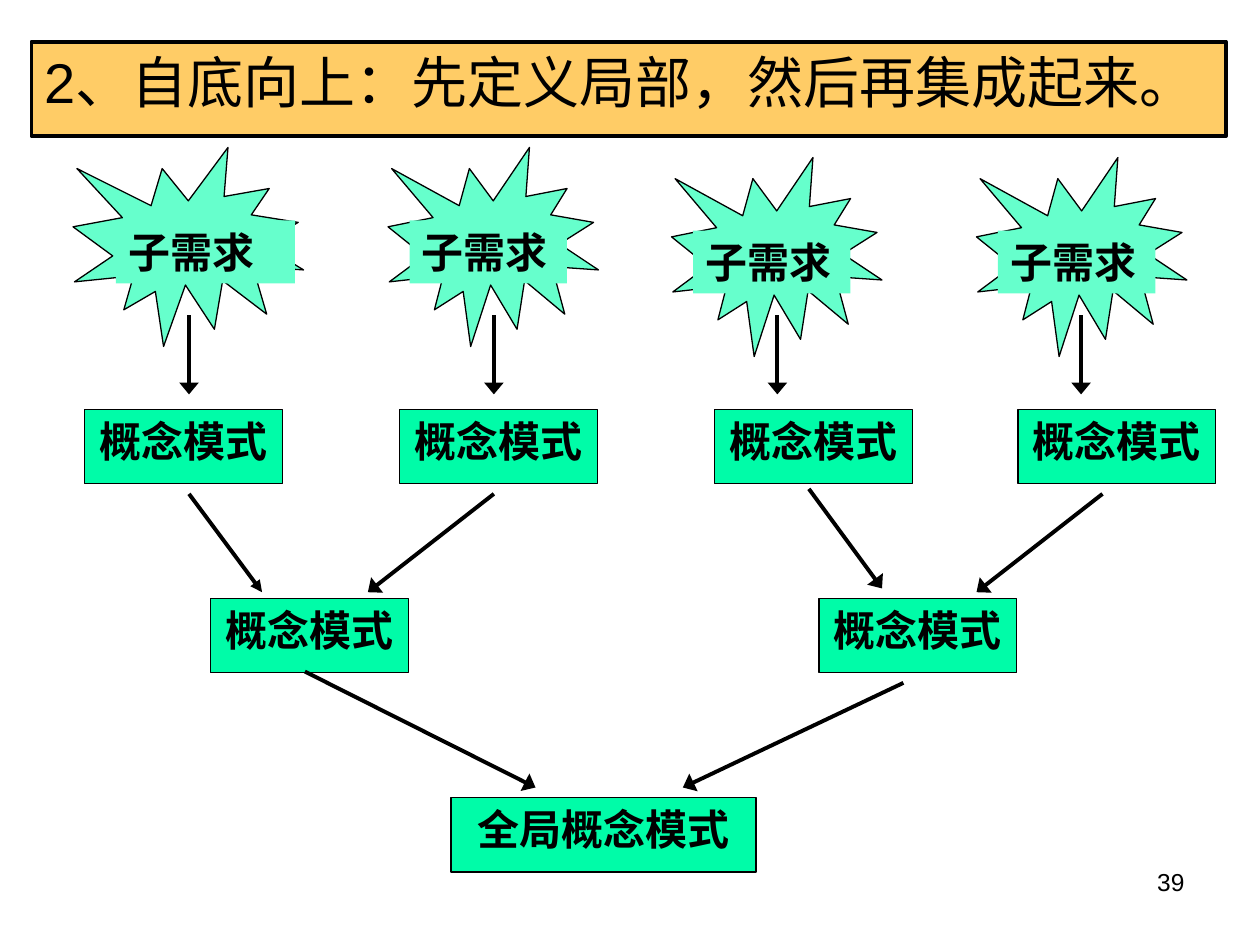
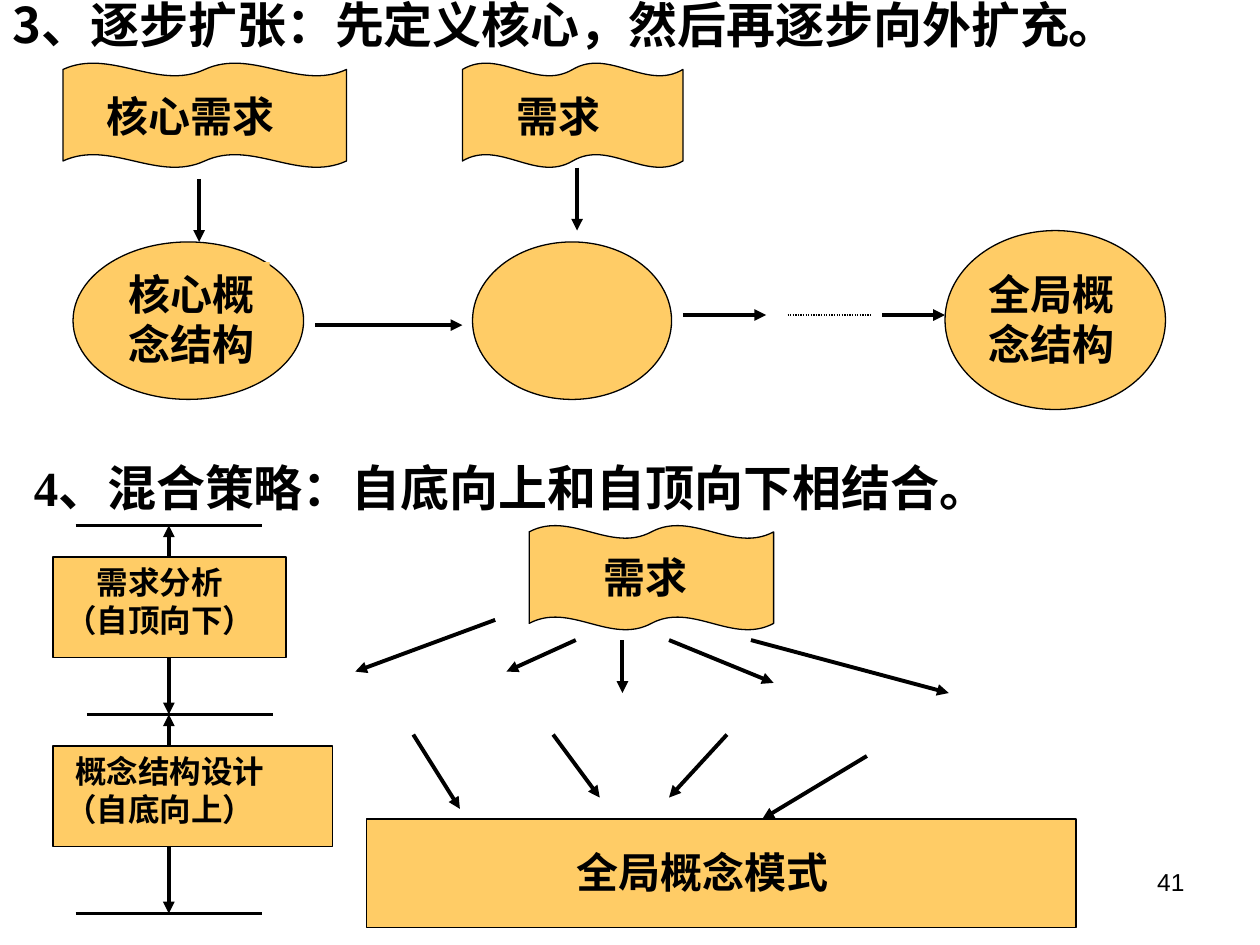
from pptx import Presentation
from pptx.dml.color import RGBColor
from pptx.enum.dml import MSO_LINE
from pptx.enum.shapes import MSO_CONNECTOR, MSO_SHAPE as Shape
from pptx.enum.text import MSO_ANCHOR as Anchor, MSO_AUTO_SIZE as AutoSize, PP_ALIGN as Align
from pptx.oxml.ns import qn
from pptx.util import Inches, Pt
from lxml import etree

BLACK, ORANGE, AQUA, GREEN = "000000", "FFCC66", "66FFCC", "00FCA8"
SERIF, SANS, CJK = "Times New Roman", "Arial", "Noto Sans CJK JP"
THIN, RULE, THICK = 0.74, 1.5, 2.24

NEED, MODEL, GLOBAL_MODEL = "子需求", "概念模式", "全局概念模式"

BOTTOM_UP_TITLE = "2、自底向上：先定义局部，然后再集成起来。"
NEEDS = [
    ((0.58, 1.17), 1.83, (0.92, 1.75), 1.42),
    ((3.08, 1.17), 1.67, (3.25, 1.75), 1.25),
    ((5.33, 1.25), 1.67, (5.5, 1.83), 1.25),
    ((7.75, 1.25), 1.67, (7.92, 1.83), 1.25),
]
MODELS = [(0.67, 3.25), (3.17, 3.25), (5.67, 3.25), (8.08, 3.25), (1.67, 4.75), (6.5, 4.75)]
NEED_ARROWS = [1.5, 3.92, 6.17, 8.58]
MERGE_ARROWS = [
    ((1.5, 3.92), (2.08, 4.7), "med"),
    ((3.92, 3.92), (2.92, 4.7), "lg"),
    ((6.42, 3.88), (7, 4.67), "lg"),
    ((8.75, 3.92), (7.75, 4.7), "lg"),
    ((2.42, 5.33), (4.25, 6.25), "lg"),
    ((7.17, 5.42), (5.42, 6.25), "lg"),
]

EXPANSION_TITLE = "3、逐步扩张：先定义核心，然后再逐步向外扩充。"
MIXED_TITLE = "4、混合策略：自底向上和自顶向下相结合。"
WAVES = [
    ((0.5, 0.5, 2.25, 0.83), "核心需求", (0.75, 0.67, 1.75, 0.5), Align.LEFT),
    ((3.67, 0.5, 1.75, 0.83), "需求", (4, 0.67, 1.17, 0.5), Align.LEFT),
    ((4.2, 4.17, 1.94, 0.83), "需求", (4.48, 4.33, 1.29, 0.5), Align.CENTER),
]
STRUCTURES = [
    ((0.58, 1.92, 1.83, 1.25), "核心概念结构", (0.92, 2.08, 1.22, 0.9)),
    ((3.75, 1.92, 1.58, 1.25), "", None),
    ((7.5, 1.83, 1.75, 1.42), "全局概念结构", (7.75, 2.08, 1.25, 0.9)),
]
EXPANSION_ARROWS = [
    ((1.58, 1.42), (1.58, 1.92)),
    ((2.5, 2.58), (3.67, 2.58)),
    ((4.58, 1.33), (4.58, 1.83)),
    ((5.42, 2.5), (6.08, 2.5)),
    ((7, 2.5), (7.5, 2.5)),
]
SPLIT_ARROWS = [
    ((3.93, 4.92), (2.82, 5.33)),
    ((4.57, 5.08), (4.02, 5.33)),
    ((4.94, 5.08), (4.94, 5.5)),
    ((5.31, 5.08), (6.14, 5.42)),
    ((5.96, 5.08), (7.53, 5.5)),
]
JOIN_ARROWS = [
    ((3.28, 5.83), (3.65, 6.42)),
    ((4.39, 5.83), (4.76, 6.33)),
    ((5.77, 5.83), (5.31, 6.33)),
    ((6.88, 6), (6.05, 6.5)),
]
PHASE_AXIS = 1.34
PHASE_RULES = [(0.6, 4.17), (0.69, 5.67), (0.6, 7.25)]
PHASE_ARROWS = [(4.67, 4.17), (5.08, 5.67), (6.17, 5.67), (6.67, 7.25)]
PHASES = [
    ("需求分析（自顶向下）", (0.42, 4.42, 1.85, 0.8), 0.25),
    ("概念结构设计（自底向上）", (0.42, 5.92, 2.22, 0.8), 0.08),
]


def color(value):
    return RGBColor.from_string(value)


def inches(values):
    return [Inches(value) for value in values]


def write(shape, text, size=24, font=SERIF, bold=True, align=Align.LEFT, indent=0):
    frame = shape.text_frame
    frame.text = text
    frame.word_wrap = True
    frame.auto_size = AutoSize.NONE
    frame.vertical_anchor = Anchor.TOP
    paragraph = frame.paragraphs[0]
    paragraph.alignment = align
    if indent:
        paragraph._p.get_or_add_pPr().set("indent", str(Inches(indent)))
    for run in paragraph.runs:
        run.font.size = Pt(size)
        run.font.name = font
        run.font.bold = bold
        run.font.color.rgb = color(BLACK)
    return paragraph


def paint(shape, fill, line=None):
    shape.fill.solid()
    shape.fill.fore_color.rgb = color(fill)
    if line:
        shape.line.color.rgb = color(BLACK)
        shape.line.width = Pt(line)
    else:
        shape.line.fill.background()


def block(slide, kind, at, fill, line=None, text="", **style):
    shape = slide.shapes.add_shape(kind, *inches(at))
    shape.shadow.inherit = False
    paint(shape, fill, line)
    if text:
        write(shape, text, **style)


def text_box(slide, at, text, **style):
    write(slide.shapes.add_textbox(*inches(at)), text, **style)


def line(slide, start, end, width=THICK, head=None, dash=None):
    connector = slide.shapes.add_connector(MSO_CONNECTOR.STRAIGHT, *inches(start + end))
    connector.line.color.rgb = color(BLACK)
    connector.line.width = Pt(width)
    if dash:
        connector.line.dash_style = dash
    if head:
        etree.SubElement(connector.line._get_or_add_ln(), qn("a:tailEnd"),
                         type="triangle", w=head, len="med")
    etree.SubElement(connector._element.spPr, qn("a:effectLst"))


def start_slide(deck, title, at, number, **style):
    slide = deck.slides.add_slide(deck.slide_layouts[5])
    heading = slide.shapes.title
    heading.left, heading.top, heading.width, heading.height = inches(at)
    paragraph = write(heading, title, **style)
    text_box(slide, (7.17, 6.83, 2.33, 0.52), number,
             size=14, font=SANS, bold=False, align=Align.RIGHT)
    return slide, heading, paragraph


def bottom_up(deck):
    slide, heading, _ = start_slide(deck, BOTTOM_UP_TITLE, (0.25, 0.33, 9.48, 0.75), "39",
                                    size=32, font=SANS, bold=False)
    paint(heading, ORANGE, THICK)
    for star, star_width, label, label_width in NEEDS:
        block(slide, Shape.EXPLOSION1, star + (star_width, 1.58), AQUA, THIN)
        block(slide, Shape.RECTANGLE, label + (label_width, 0.5), AQUA, text=NEED)
    for corner in MODELS:
        block(slide, Shape.RECTANGLE, corner + (1.57, 0.59), GREEN, THIN, MODEL,
              align=Align.CENTER)
    block(slide, Shape.RECTANGLE, (3.58, 6.33, 2.42, 0.59), GREEN, THIN, GLOBAL_MODEL,
          align=Align.CENTER)
    for x in NEED_ARROWS:
        line(slide, (x, 2.5), (x, 3.13), head="lg")
    for start, end, head in MERGE_ARROWS:
        line(slide, start, end, head=head)


def expansion_and_mixed(deck):
    slide, _, paragraph = start_slide(deck, EXPANSION_TITLE, (0, 0, 9.33, 0.5), "41",
                                      size=28, font=CJK)
    paragraph.line_spacing = 0.8
    for wave, need, label, align in WAVES:
        block(slide, Shape.DOUBLE_WAVE, wave, ORANGE, THIN)
        block(slide, Shape.RECTANGLE, label, ORANGE, text=need, align=align)
    for oval, structure, label in STRUCTURES:
        block(slide, Shape.OVAL, oval, ORANGE, THIN)
        if label:
            block(slide, Shape.RECTANGLE, label, ORANGE, text=structure)
    line(slide, (6.25, 2.5), (6.92, 2.5), THIN, dash=MSO_LINE.ROUND_DOT)

    text_box(slide, (0.17, 3.58, 8.75, 0.57), MIXED_TITLE, size=28)
    block(slide, Shape.RECTANGLE, (2.91, 6.5, 5.63, 0.86), ORANGE, THIN)
    block(slide, Shape.RECTANGLE, (4.48, 6.67, 2.49, 0.5), ORANGE, text=GLOBAL_MODEL)
    for start, end in EXPANSION_ARROWS + SPLIT_ARROWS + JOIN_ARROWS:
        line(slide, start, end, head="med")
    for x, y in PHASE_RULES:
        line(slide, (x, y), (x + 1.48, y), RULE)
    for start, end in PHASE_ARROWS:
        line(slide, (PHASE_AXIS, start), (PHASE_AXIS, end), head="med")
    for phase, at, indent in PHASES:
        block(slide, Shape.RECTANGLE, at, ORANGE, THIN, phase, size=18, indent=indent)


deck = Presentation()
deck.slide_width, deck.slide_height = inches((10, 7.5))
bottom_up(deck)
expansion_and_mixed(deck)
deck.save("out.pptx")
